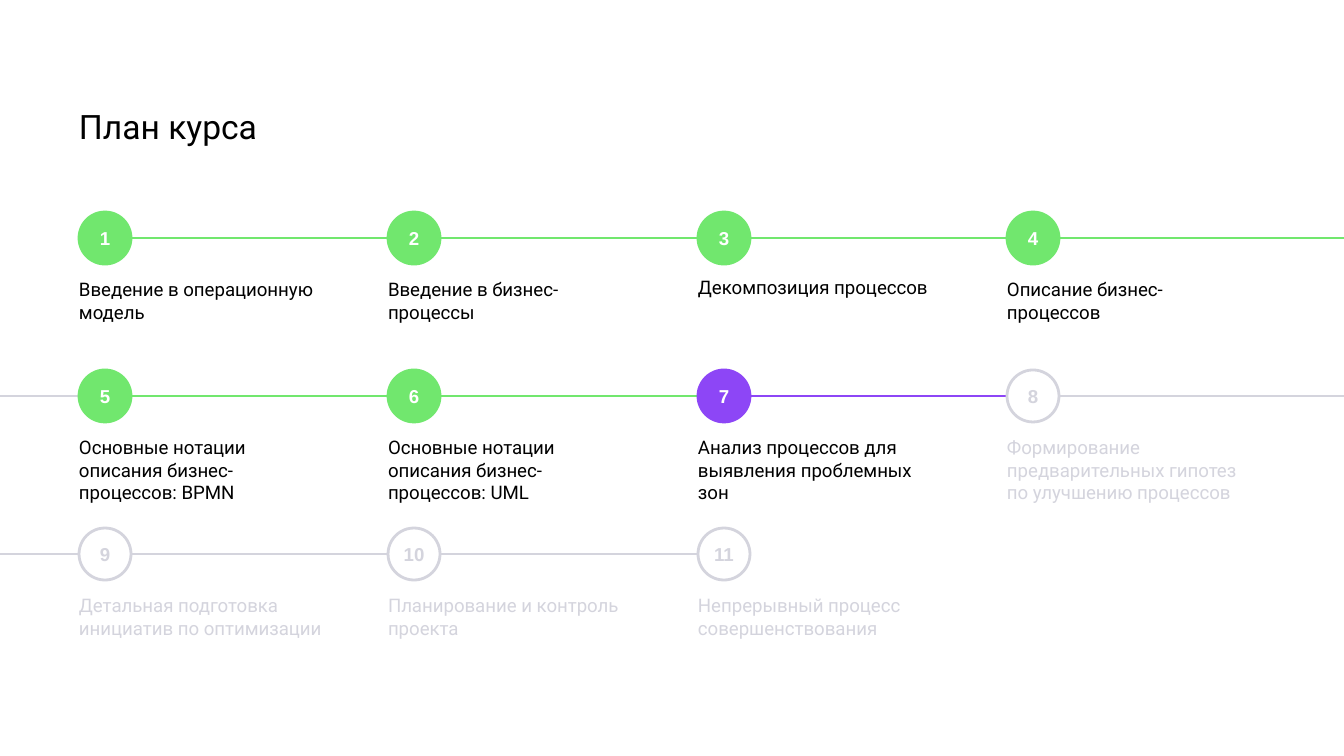
from pptx import Presentation
from pptx import util as u
from pptx.dml.color import RGBColor
from pptx.enum import shapes, text
from pptx.oxml.ns import qn
from lxml import etree

GREEN = RGBColor(0x71, 0xE7, 0x6E)
PURPLE = RGBColor(0x8D, 0x46, 0xF6)
GRAY = RGBColor(0xD4, 0xD4, 0xDD)
WHITE = RGBColor(0xFF, 0xFF, 0xFF)
BLACK = RGBColor(0x00, 0x00, 0x00)

SCALE = 914400 / 134.4  # EMU in one px
WIDTH, HEIGHT = 1344, 756
LEFT, FIRST_CENTER = 79, 238
COLUMNS, ROW_PITCH = 4, 158
CIRCLE = 52
LABEL_WIDTH, LABEL_HEIGHT, LABEL_GAP, INSET = 257, 50, 27, 13

# State: circle fill, number colour, line colour, label colour
DONE = (GREEN, WHITE, GREEN, BLACK)
CURRENT = (PURPLE, WHITE, PURPLE, BLACK)
AHEAD = (WHITE, GRAY, GRAY, GRAY)

STEPS = [
    ("Введение в операционную модель", DONE),
    ("Введение в бизнес-процессы", DONE),
    ("Декомпозиция процессов", DONE),
    ("Описание бизнес-процессов", DONE),
    ("Основные нотации описания бизнес-процессов: BPMN", DONE),
    ("Основные нотации описания бизнес-процессов: UML", DONE),
    ("Анализ процессов для выявления проблемных зон", CURRENT),
    ("Формирование предварительных гипотез по улучшению процессов", AHEAD),
    ("Детальная подготовка инициатив по оптимизации", AHEAD),
    ("Планирование и контроль проекта", AHEAD),
    ("Непрерывный процесс совершенствования", AHEAD),
]


def px(value):
    return u.Emu(round(value * SCALE))


def column_left(column):
    return LEFT + column * 619 // 2


class Roadmap:
    text_font = "Roboto"
    number_font = "Arial"
    line_width = u.Pt(1.5)

    def __init__(self, slide):
        self.slide = slide

    def set_text(self, shape, wording, font_name, size, color, insets=(0, 0, 0, 0)):
        frame = shape.text_frame
        frame.word_wrap = True
        (frame.margin_left, frame.margin_top,
         frame.margin_right, frame.margin_bottom) = map(px, insets)
        paragraph = frame.paragraphs[0]
        paragraph.text = wording
        paragraph.font.name = font_name
        paragraph.font.size = u.Pt(size)
        paragraph.font.color.rgb = color
        return paragraph

    def label(self, left, top, width, height, wording, size, color, insets=(0, 0, 0, 0)):
        box = self.slide.shapes.add_textbox(px(left), px(top), px(width), px(height))
        self.set_text(box, wording, self.text_font, size, color, insets)

    def line(self, start, end, y, color):
        connector = self.slide.shapes.add_connector(
            shapes.MSO_CONNECTOR.STRAIGHT, px(start), px(y), px(end), px(y))
        connector.line.color.rgb = color
        connector.line.width = self.line_width
        etree.SubElement(connector._element.spPr, qn("a:effectLst"))

    def circle(self, left, center, number, fill, number_color, outline):
        shape = self.slide.shapes.add_shape(
            shapes.MSO_SHAPE.OVAL, px(left), px(center - CIRCLE // 2), px(CIRCLE), px(CIRCLE))
        shape.shadow.inherit = False
        shape.fill.solid()
        shape.fill.fore_color.rgb = fill
        shape.line.color.rgb = outline
        shape.line.width = self.line_width
        paragraph = self.set_text(shape, str(number), self.number_font, 10, number_color)
        paragraph.font.bold = True
        paragraph.alignment = text.PP_ALIGN.CENTER
        shape.text_frame.vertical_anchor = text.MSO_ANCHOR.MIDDLE


def main():
    presentation = Presentation()
    presentation.slide_width, presentation.slide_height = px(WIDTH), px(HEIGHT)
    roadmap = Roadmap(presentation.slides.add_slide(presentation.slide_layouts[6]))

    # Title
    roadmap.label(LEFT, 106, 1185, 47, "План курса", 18, BLACK)

    # Course steps, row by row
    for index, (wording, state) in enumerate(STEPS):
        fill, number_color, line_color, label_color = state
        row, column = divmod(index, COLUMNS)
        left = column_left(column)
        center = FIRST_CENTER + row * ROW_PITCH

        # Lines into a continued row and on to the next step
        if row and column == 0:
            roadmap.line(0, left, center, GRAY)
        if index < len(STEPS) - 1:
            end = WIDTH if column == COLUMNS - 1 else column_left(column + 1)
            roadmap.line(left + CIRCLE, end, center, line_color)

        # Numbered circle and its label
        roadmap.circle(left, center, index + 1, fill, number_color, line_color)
        roadmap.label(left, center + LABEL_GAP, LABEL_WIDTH, LABEL_HEIGHT,
                      wording, 10, label_color, (0, INSET, INSET, INSET))

    presentation.save("out.pptx")


if __name__ == "__main__":
    main()
